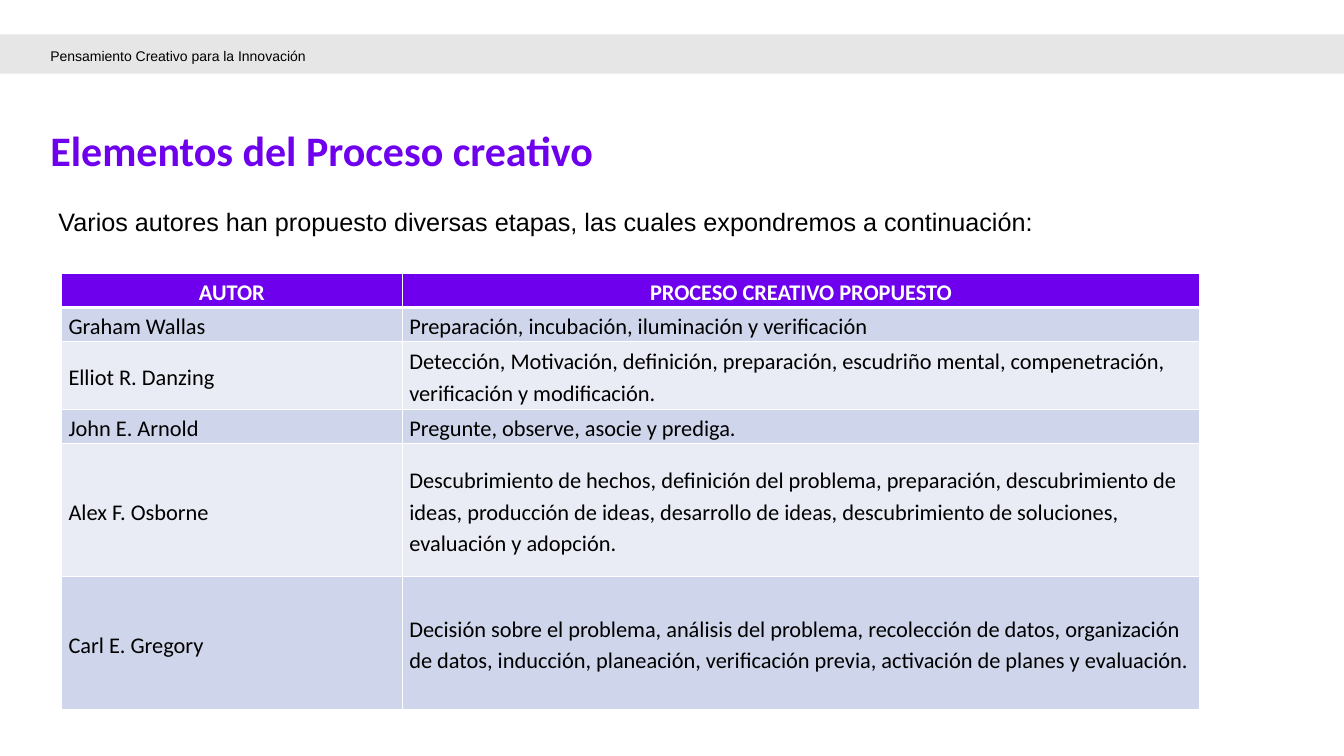
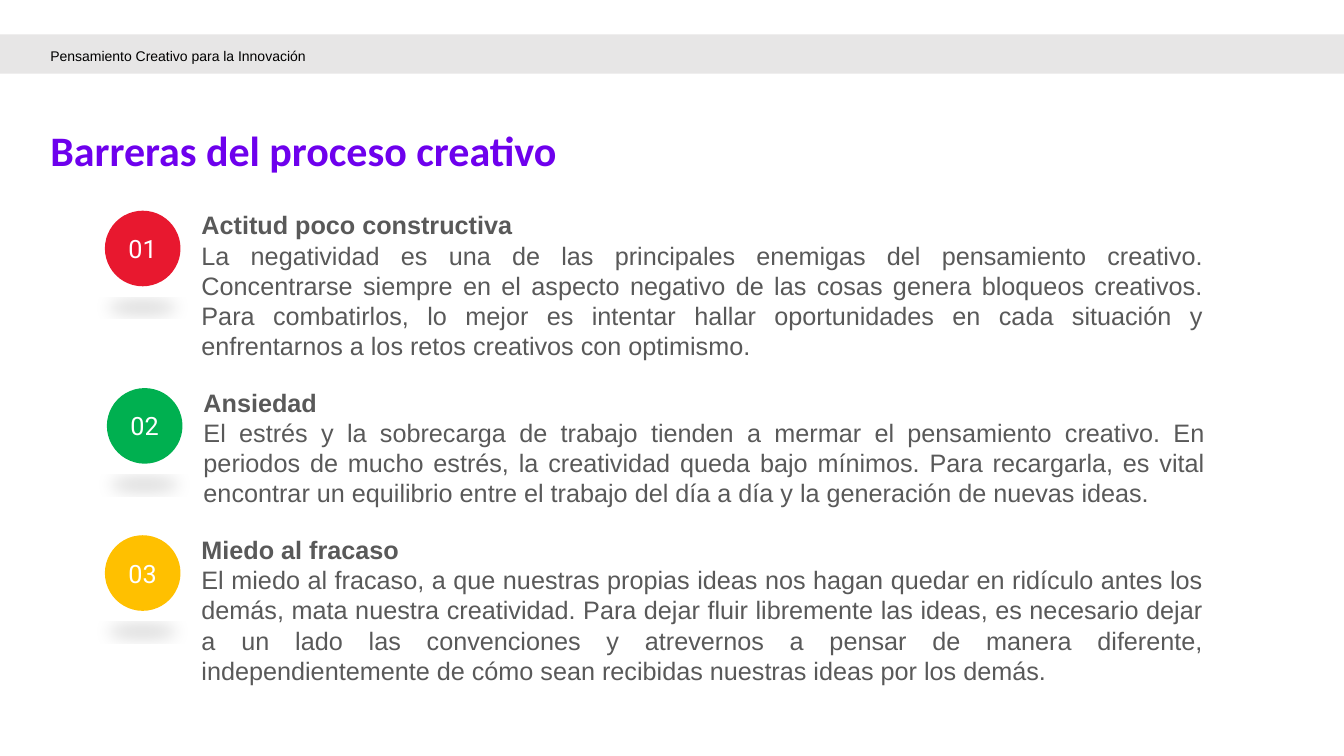
from dataclasses import dataclass

from lxml import etree
from pptx import Presentation
from pptx.dml.color import RGBColor
from pptx.enum.shapes import MSO_SHAPE
from pptx.enum.text import MSO_ANCHOR, MSO_AUTO_SIZE, PP_ALIGN
from pptx.oxml import parse_xml
from pptx.oxml.ns import nsdecls, qn
from pptx.util import Emu, Pt

LEFT, CENTER, JUSTIFY = PP_ALIGN.LEFT, PP_ALIGN.CENTER, PP_ALIGN.JUSTIFY
TOP, MIDDLE = MSO_ANCHOR.TOP, MSO_ANCHOR.MIDDLE
RECTANGLE, OVAL = MSO_SHAPE.RECTANGLE, MSO_SHAPE.OVAL
PX = 9144  # 100 px to the inch


@dataclass(frozen=True)
class Theme:
    violet: str = "6E00ED"
    band: str = "E7E6E6"
    black: str = "000000"
    white: str = "FFFFFF"
    gray: str = "595959"
    row_fills: tuple = ("CFD5EA", "E9EBF5")
    badges: tuple = ("E8182F", "00B050", "FFC000")
    heading_font: str = "Calibri"
    body_font: str = "Arial"
    badge_font: str = "Roboto"
    title_size: int = 30
    body_size: int = 18
    table_size: int = 16
    label_size: int = 10


theme = Theme()


def px(*lengths):
    return [Emu(length * PX) for length in lengths]


def write(frame, text, *, size=theme.body_size, color=theme.black,
          font=theme.body_font, bold=False, align=LEFT, line=1.0, after=0,
          more=False):
    """Write one paragraph, as the first of the frame or after the others."""
    paragraph = frame.add_paragraph() if more else frame.paragraphs[0]
    paragraph.text = text
    paragraph.alignment = align
    paragraph.line_spacing = line
    paragraph.space_before, paragraph.space_after = Pt(0), Pt(after)
    style = paragraph.runs[0].font
    style.name, style.size, style.bold = font, Pt(size), bold
    style.color.rgb = RGBColor.from_string(color)
    return paragraph


prs = Presentation()
prs.slide_width, prs.slide_height = px(1333, 750)

# Shared layout: places of the title and the course label
layout = prs.slide_layouts[1]
places = {0: (50, 130, 982, 52), 1: (50, 39, 410, 32)}
for holder in layout.placeholders:
    idx = holder.placeholder_format.idx
    if idx in places:
        holder.left, holder.top, holder.width, holder.height = px(*places[idx])

# Titles and course label
slides = []
for title in ("Elementos del Proceso creativo", "Barreras del proceso creativo"):
    slide = prs.slides.add_slide(layout)
    slides.append(slide)
    heading, course = slide.shapes.title, slide.placeholders[1]
    for holder, anchor in ((heading, MIDDLE), (course, TOP)):
        frame = holder.text_frame
        frame.auto_size, frame.word_wrap = MSO_AUTO_SIZE.NONE, True
        frame.vertical_anchor = anchor
        frame.margin_left = frame.margin_right = 0
        frame.margin_top = frame.margin_bottom = 0
    write(heading.text_frame, title, size=theme.title_size, color=theme.violet,
          font=theme.heading_font, bold=True, line=0.6)
    label = write(course.text_frame, "Pensamiento Creativo para la Innovación",
                  size=theme.label_size, line=1.5)
    properties = label._p.get_or_add_pPr()
    properties.set("marL", "0")
    properties.set("indent", "0")
    etree.SubElement(properties, qn("a:buNone"))

authors_slide, barriers_slide = slides

# Gray band, moved to the layout behind its placeholders
band = authors_slide.shapes.add_shape(RECTANGLE, *px(0, 34, 1333, 39))
band.shadow.inherit = False
band.fill.solid()
band.fill.fore_color.rgb = RGBColor.from_string(theme.band)
band.line.fill.background()
layout.shapes.element.insert(2, band.element)

# Slide 1: introduction
intro = authors_slide.shapes.add_textbox(*px(23, 200, 1267, 40)).text_frame
intro.word_wrap = True
intro.margin_left = px(35)[0]
write(intro, "Varios autores han propuesto diversas etapas, las cuales "
      "expondremos a continuación:", align=JUSTIFY)

# Slide 1: table of authors
processes = [
    ("AUTOR", "PROCESO CREATIVO PROPUESTO"),
    ("Graham Wallas", "Preparación, incubación, iluminación y verificación"),
    ("Elliot R. Danzing",
     "Detección, Motivación, definición, preparación, escudriño mental, "
     "compenetración, verificación y modificación."),
    ("John E. Arnold", "Pregunte, observe, asocie y prediga."),
    ("Alex F. Osborne",
     "Descubrimiento de hechos, definición del problema, preparación, "
     "descubrimiento de ideas, producción de ideas, desarrollo de ideas, "
     "descubrimiento de soluciones, evaluación y adopción."),
    ("Carl E. Gregory",
     "Decisión sobre el problema, análisis del problema, recolección de datos, "
     "organización de datos, inducción, planeación, verificación previa, "
     "activación de planes y evaluación."),
]
column_widths = px(338, 791)
row_heights = px(34, 34, 67, 34, 132, 132)
table = authors_slide.shapes.add_table(
    len(processes), 2, *px(61, 271), sum(column_widths), sum(row_heights)).table
table.horz_banding = False
for column, width in zip(table.columns, column_widths):
    column.width = width
for r, (entry, height) in enumerate(zip(processes, row_heights)):
    table.rows[r].height = height
    header = r == 0
    for c, text in enumerate(entry):
        cell = table.cell(r, c)
        cell.vertical_anchor = MIDDLE
        (cell.margin_left, cell.margin_top,
         cell.margin_right, cell.margin_bottom) = px(7, 1, 7, 0)
        write(cell.text_frame, text, size=theme.table_size,
              color=theme.white if header else theme.black,
              font=theme.heading_font, bold=header,
              align=CENTER if header else LEFT, line=1.15, after=10)
        # White borders, thicker under the header
        for side in "LRTB":
            thick = (r, side) in ((0, "B"), (1, "T"))
            cell._tc.get_or_add_tcPr().append(parse_xml(
                f'<a:ln{side} {nsdecls("a")} w="{Pt(3 if thick else 1)}">'
                f'<a:solidFill><a:srgbClr val="{theme.white}"/></a:solidFill>'
                f'</a:ln{side}>'))
        cell.fill.solid()
        cell.fill.fore_color.rgb = RGBColor.from_string(
            theme.violet if header else theme.row_fills[(r - 1) % 2])

# Slide 2: numbered barriers, each with its left, top and height
barriers = [
    (104, 209, 162, "Actitud poco constructiva",
     "La negatividad es una de las principales enemigas del pensamiento "
     "creativo. Concentrarse siempre en el aspecto negativo de las cosas genera "
     "bloqueos creativos. Para combatirlos, lo mejor es intentar hallar "
     "oportunidades en cada situación y enfrentarnos a los retos creativos con "
     "optimismo."),
    (106, 385, 131, "Ansiedad",
     "El estrés y la sobrecarga de trabajo tienden a mermar el pensamiento "
     "creativo. En periodos de mucho estrés, la creatividad queda bajo mínimos. "
     "Para recargarla, es vital encontrar un equilibrio entre el trabajo del día "
     "a día y la generación de nuevas ideas."),
    (104, 531, 162, "Miedo al fracaso",
     "El miedo al fracaso, a que nuestras propias ideas nos hagan quedar en "
     "ridículo antes los demás, mata nuestra creatividad. Para dejar fluir "
     "libremente las ideas, es necesario dejar a un lado las convenciones y "
     "atrevernos a pensar de manera diferente, independientemente de cómo sean "
     "recibidas nuestras ideas por los demás."),
]
for number, (left, top, height, barrier, advice) in enumerate(barriers, 1):
    badge = barriers_slide.shapes.add_shape(OVAL, *px(left, top, 75, 75))
    badge.fill.solid()
    badge.fill.fore_color.rgb = RGBColor.from_string(theme.badges[number - 1])
    badge.line.fill.background()
    # Flattened shadow below the badge
    badge.element.spPr.append(parse_xml(
        f'<a:effectLst {nsdecls("a")}><a:outerShdw blurRad="{Pt(12)}" '
        f'dist="{Pt(10)}" dir="5400000" sx="90000" sy="-19000" algn="b" '
        f'rotWithShape="0"><a:srgbClr val="{theme.black}">'
        '<a:alpha val="15000"/></a:srgbClr></a:outerShdw></a:effectLst>'))
    badge.text_frame.vertical_anchor = MIDDLE
    badge.text_frame.margin_left = badge.text_frame.margin_right = 0
    write(badge.text_frame, f"{number:02d}", color=theme.white,
          font=theme.badge_font, align=CENTER)

    explanation = barriers_slide.shapes.add_textbox(
        *px(left + 86, top - 6, 1013, height)).text_frame
    explanation.word_wrap = True
    write(explanation, barrier, color=theme.gray, bold=True)
    write(explanation, advice, color=theme.gray, align=JUSTIFY, more=True)

prs.save("out.pptx")
